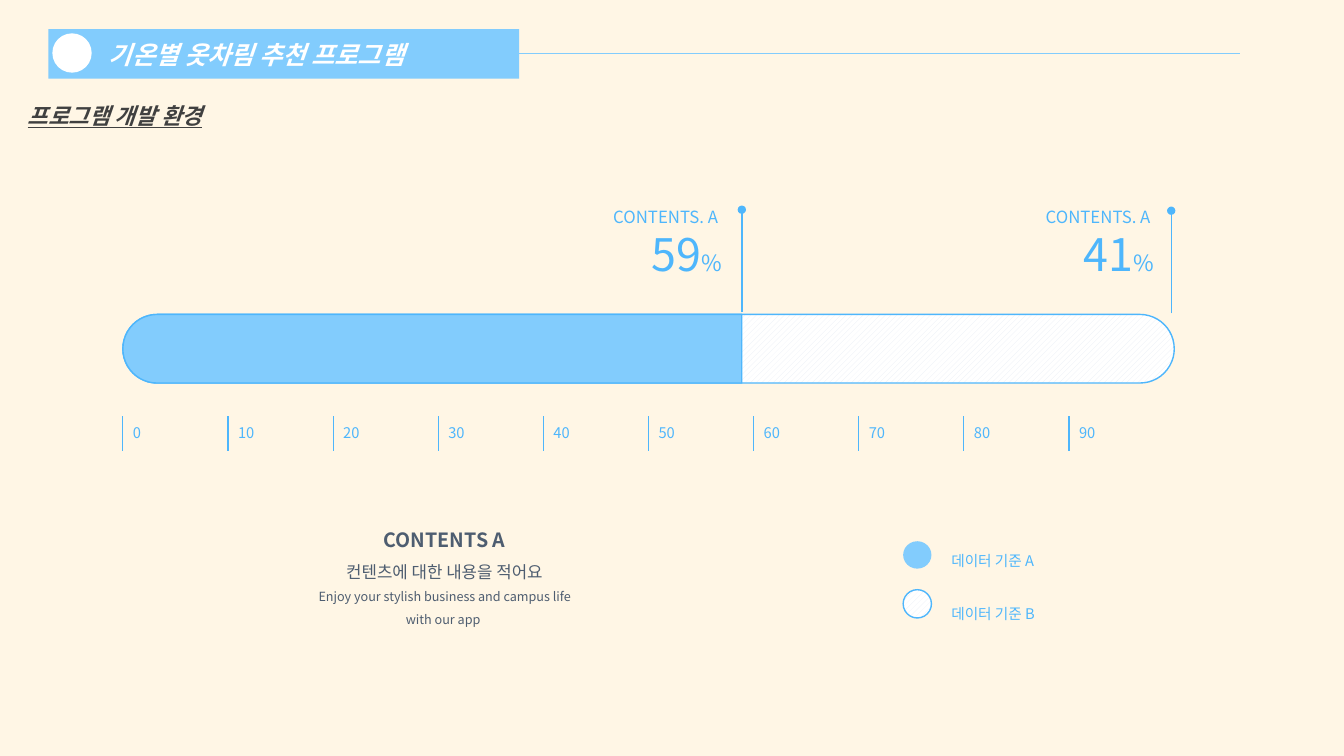
"""Build the slide on the development environment of the outfit program."""
from dataclasses import dataclass

from lxml.etree import SubElement
from pptx import Presentation
from pptx.dml.color import RGBColor
from pptx.enum.dml import MSO_PATTERN
from pptx.enum.shapes import MSO_CONNECTOR, MSO_SHAPE
from pptx.enum.text import MSO_ANCHOR, MSO_AUTO_SIZE, PP_ALIGN
from pptx.oxml.ns import qn
from pptx.shapes.autoshape import Shape
from pptx.shapes.connector import Connector
from pptx.slide import Slide
from pptx.table import _Cell as Cell
from pptx.text.text import TextFrame, _Paragraph as Paragraph
from pptx.util import Pt

FONT = "Noto Sans CJK KR"
CREAM = RGBColor(0xFF, 0xF6, 0xE5)
SKY = RGBColor(0x82, 0xCC, 0xFD)
BLUE = RGBColor(0x4E, 0xB6, 0xFC)
PALE = RGBColor(0xE8, 0xED, 0xF5)
WHITE = RGBColor(0xFF, 0xFF, 0xFF)
SLATE = RGBColor(0x4E, 0x5D, 0x70)
CHARCOAL = RGBColor(0x40, 0x40, 0x40)

BAR_LEFT, BAR_TOP, BAR_WIDTH, BAR_HEIGHT = 87.8, 224.6, 751, 49
FILLED_WIDTH = 442.1


@dataclass(frozen=True)
class Box:
    left: float
    top: float
    width: float
    height: float


@dataclass(frozen=True)
class Share:
    value: str
    label_left: float
    marker_x: float
    marker_bottom: float


@dataclass(frozen=True)
class Line:
    text: str
    size: float
    bold: bool = False


SHARES = [Share("59", 384.5, 529.9, 223.2), Share("41", 693.4, 836.6, 223.9)]
CAPTION = [
    Line("CONTENTS A", 14, True),
    Line("컨텐츠에 대한 내용을 적어요", 12),
    Line("Enjoy your stylish business and campus life with our app ", 9),
]
LEGEND = [Line("데이터 기준 A", 10.5), Line("데이터 기준 B", 10.5)]


def add_run(paragraph: Paragraph, text: str, *, size: float, color: RGBColor = BLUE,
            bold: bool = False, italic: bool = False, underline: bool = False) -> None:
    run = paragraph.add_run()
    run.text = text
    font = run.font
    font.size, font.bold, font.italic = Pt(size), bold, italic
    font.underline = underline
    font.color.rgb = color
    font.name = FONT
    SubElement(run._r.rPr, qn("a:ea"), typeface=FONT)


def add_paragraph(frame: TextFrame, *, align: PP_ALIGN = PP_ALIGN.LEFT,
                  spacing: float = 1.0) -> Paragraph:
    first = frame.paragraphs[0]
    paragraph = frame.add_paragraph() if first.runs else first
    paragraph.alignment = align
    paragraph.line_spacing = spacing
    return paragraph


def add_text_box(slide: Slide, box: Box) -> TextFrame:
    shape = slide.shapes.add_textbox(Pt(box.left), Pt(box.top), Pt(box.width), Pt(box.height))
    frame = shape.text_frame
    frame.word_wrap = True
    frame.auto_size = MSO_AUTO_SIZE.SHAPE_TO_FIT_TEXT
    return frame


def add_shape(slide: Slide, kind: MSO_SHAPE, box: Box, *, fill: RGBColor = WHITE,
              hatched: bool = False, outlined: bool = False) -> Shape:
    shape = slide.shapes.add_shape(kind, Pt(box.left), Pt(box.top), Pt(box.width), Pt(box.height))
    shape.shadow.inherit = False
    if hatched:
        shape.fill.patterned()
        shape.fill.pattern = MSO_PATTERN.WIDE_UPWARD_DIAGONAL
        shape.fill.fore_color.rgb = PALE
        shape.fill.back_color.rgb = fill
    else:
        shape.fill.solid()
        shape.fill.fore_color.rgb = fill
    if outlined:
        shape.line.color.rgb = BLUE
        shape.line.width = Pt(1)
    else:
        shape.line.fill.background()
    return shape


def add_line(slide: Slide, start: tuple[float, float], end: tuple[float, float], *,
             color: RGBColor, width: float) -> Connector:
    connector = slide.shapes.add_connector(
        MSO_CONNECTOR.STRAIGHT, Pt(start[0]), Pt(start[1]), Pt(end[0]), Pt(end[1]))
    connector.line.color.rgb = color
    connector.line.width = Pt(width)
    SubElement(connector._element.spPr, qn("a:effectLst"))
    return connector


def set_border(cell: Cell, side: str, visible: bool) -> None:
    border = SubElement(cell._tc.get_or_add_tcPr(), qn(f"a:{side}"), w=str(Pt(1)))
    if visible:
        fill = SubElement(border, qn("a:solidFill"))
        SubElement(fill, qn("a:srgbClr"), val=str(BLUE))
    else:
        SubElement(border, qn("a:noFill"))


def add_header(slide: Slide) -> None:
    title = slide.shapes.title
    title.left, title.top, title.width, title.height = Pt(34.6), Pt(20.9), Pt(336.2), Pt(35.3)
    geometry = SubElement(title._element.spPr, qn("a:prstGeom"), prst="roundRect")
    guides = SubElement(geometry, qn("a:avLst"))
    SubElement(guides, qn("a:gd"), name="adj", fmla="val 50000")
    title.fill.solid()
    title.fill.fore_color.rgb = SKY
    frame = title.text_frame
    frame.auto_size = MSO_AUTO_SIZE.NONE
    frame.vertical_anchor = MSO_ANCHOR.MIDDLE
    frame.margin_left = Pt(43.2)
    add_run(add_paragraph(frame), "기온별 옷차림 추천 프로그램",
            size=18, color=WHITE, bold=True, italic=True)
    add_line(slide, (346.3, 38.2), (885.6, 38.2), color=SKY, width=0.5)
    add_shape(slide, MSO_SHAPE.OVAL, Box(37.4, 23.8, 28.1, 28.1))
    subtitle = add_text_box(slide, Box(0, 59.8, 164.2, 36))
    add_run(add_paragraph(subtitle, align=PP_ALIGN.CENTER, spacing=1.5), "프로그램 개발 환경",
            size=16, color=CHARCOAL, bold=True, italic=True, underline=True)


def add_bar(slide: Slide) -> None:
    track = add_shape(slide, MSO_SHAPE.ROUNDED_RECTANGLE,
                      Box(BAR_LEFT, BAR_TOP, BAR_WIDTH, BAR_HEIGHT), hatched=True, outlined=True)
    track.adjustments[0] = 0.5
    offset = (FILLED_WIDTH - BAR_HEIGHT) / 2
    filled = add_shape(slide, MSO_SHAPE.ROUND_2_SAME_RECTANGLE,
                       Box(BAR_LEFT + offset, BAR_TOP - offset, BAR_HEIGHT, FILLED_WIDTH),
                       fill=SKY, outlined=True)
    filled.rotation = 270
    filled.adjustments[0], filled.adjustments[1] = 0.5, 0


def add_share(slide: Slide, share: Share) -> None:
    marker = add_line(slide, (share.marker_x, share.marker_bottom),
                      (share.marker_x, share.marker_bottom - 73.4), color=BLUE, width=1)
    SubElement(marker.line._get_or_add_ln(), qn("a:tailEnd"), type="oval")
    frame = add_text_box(slide, Box(share.label_left, 136.8, 138.2, 67.7))
    add_run(add_paragraph(frame, align=PP_ALIGN.RIGHT, spacing=1.5), "CONTENTS. A ", size=12)
    figure = add_paragraph(frame, align=PP_ALIGN.RIGHT)
    add_run(figure, share.value, size=32)
    add_run(figure, "%", size=16)


def add_scale(slide: Slide) -> None:
    labels = range(0, 100, 10)
    table = slide.shapes.add_table(1, len(labels), Pt(BAR_LEFT), Pt(297.4),
                                   Pt(BAR_WIDTH), Pt(24.5)).table
    table.first_row = table.horz_banding = False
    for index, label in enumerate(labels):
        cell = table.cell(0, index)
        for side in ("lnL", "lnR", "lnT", "lnB"):
            inner_right = side == "lnR" and label != labels[-1]
            set_border(cell, side, side == "lnL" or inner_right)
        cell.fill.background()
        add_run(add_paragraph(cell.text_frame), str(label), size=10.5)


def add_legend_and_caption(slide: Slide) -> None:
    add_shape(slide, MSO_SHAPE.OVAL, Box(645.1, 421.2, 20.2, 20.2), hatched=True, outlined=True)
    add_shape(slide, MSO_SHAPE.OVAL, Box(645.1, 386.6, 20.2, 19.6), fill=SKY)
    legend = add_text_box(slide, Box(672.5, 365.8, 101.5, 83.5))
    for line in LEGEND:
        add_run(add_paragraph(legend, spacing=3.0), line.text, size=line.size)
    caption = add_text_box(slide, Box(218.2, 365, 198.7, 87.1))
    for line in CAPTION:
        add_run(add_paragraph(caption, align=PP_ALIGN.CENTER, spacing=1.5), line.text,
                size=line.size, color=SLATE, bold=line.bold)


def main() -> None:
    presentation = Presentation()
    presentation.slide_width, presentation.slide_height = Pt(960), Pt(540)
    slide = presentation.slides.add_slide(presentation.slide_layouts[5])
    slide.background.fill.solid()
    slide.background.fill.fore_color.rgb = CREAM
    add_header(slide)
    add_bar(slide)
    for share in SHARES:
        add_share(slide, share)
    add_scale(slide)
    add_legend_and_caption(slide)
    presentation.save("out.pptx")


if __name__ == "__main__":
    main()
